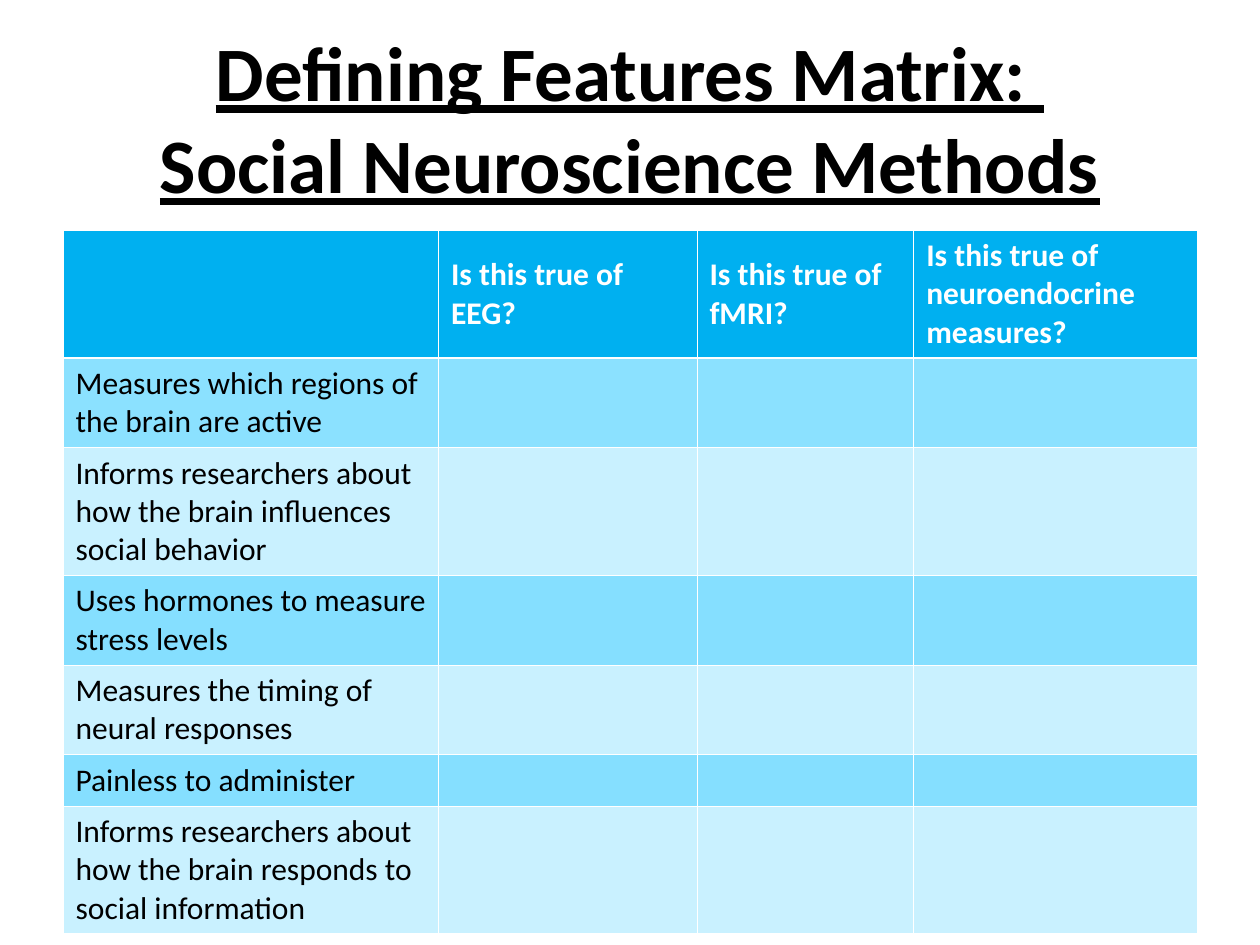
from lxml.etree import SubElement
from pptx import Presentation
from pptx.dml.color import RGBColor
from pptx.enum.text import MSO_ANCHOR as Anchor, MSO_AUTO_SIZE as AutoSize, PP_ALIGN as Align
from pptx.oxml.ns import qn
from pptx.util import Cm, Pt

BLACK = RGBColor(0x00, 0x00, 0x00)
WHITE = RGBColor(0xFF, 0xFF, 0xFF)
HEADER_BLUE = RGBColor(0x00, 0xB0, 0xF0)
FIRST_BLUE = RGBColor(0x8B, 0xE1, 0xFF)
BAND_BLUE = RGBColor(0x85, 0xDF, 0xFF)
PALE_BLUE = RGBColor(0xC9, 0xF1, 0xFF)

THIN, THICK = Pt(0.45), Pt(1.47)

TITLE = "Defining Features Matrix: \vSocial Neuroscience Methods"
HEADERS = [
    "",
    "Is this true of EEG?",
    "Is this true of fMRI?",
    "Is this true of neuroendocrine measures?",
]
FEATURES = [
    "Measures which regions of the brain are active",
    "Informs researchers about how the brain influences social behavior",
    "Uses hormones to measure stress levels",
    "Measures the timing of neural responses",
    "Painless to administer",
    "Informs researchers about how the brain responds to social information",
]
COLUMN_WIDTHS = [7.57, 5.21, 4.37, 5.71]
ONE_LINE, TWO_LINES, THREE_LINES = 1.02, 1.78, 2.54
ROW_HEIGHTS = [THREE_LINES, TWO_LINES, THREE_LINES, TWO_LINES, TWO_LINES, ONE_LINE, THREE_LINES]
ROW_FILLS = [HEADER_BLUE, FIRST_BLUE, PALE_BLUE, BAND_BLUE, PALE_BLUE, BAND_BLUE, PALE_BLUE]


def write(frame, text, size=18, color=BLACK, bold=False, underline=False, align=Align.LEFT):
    frame.word_wrap = True
    frame.text = text
    for para in frame.paragraphs:
        para.alignment = align
        para.font.size = Pt(size)
        for span in para.runs:
            font = span.font
            font.name = "Calibri"
            font.size = Pt(size)
            font.bold = bold
            font.underline = underline
            font.color.rgb = color


def add_borders(cell, top=THIN, bottom=THIN):
    """Draw white borders; must run before the cell is filled."""
    properties = cell._tc.get_or_add_tcPr()
    for side, width in (("L", THIN), ("R", THIN), ("T", top), ("B", bottom)):
        line = SubElement(properties, qn(f"a:ln{side}"), w=str(int(width)))
        fill = SubElement(line, qn("a:solidFill"))
        SubElement(fill, qn("a:srgbClr"), val=str(WHITE))


class MatrixPage:
    def __init__(self, deck):
        self.page = deck.slides.add_slide(deck.slide_layouts[5])

    def title(self, text, left, top, width, height):
        box = self.page.shapes.title
        box.left, box.top, box.width, box.height = Cm(left), Cm(top), Cm(width), Cm(height)
        frame = box.text_frame
        frame.auto_size = AutoSize.NONE
        frame.vertical_anchor = Anchor.MIDDLE
        write(frame, text, size=44, bold=True, underline=True, align=Align.CENTER)

    def table(self, rows, left, top):
        grid = self.page.shapes.add_table(
            len(rows), len(COLUMN_WIDTHS), Cm(left), Cm(top),
            Cm(sum(COLUMN_WIDTHS)), Cm(sum(ROW_HEIGHTS)),
        ).table
        for column, width in zip(grid.columns, COLUMN_WIDTHS):
            column.width = Cm(width)
        for index, (row, height) in enumerate(zip(grid.rows, ROW_HEIGHTS)):
            row.height = Cm(height)
            for cell, text in zip(row.cells, rows[index]):
                self.cell(cell, text, index)

    def cell(self, cell, text, row_index):
        is_header = row_index == 0
        add_borders(
            cell,
            top=THICK if row_index == 1 else THIN,
            bottom=THICK if is_header else THIN,
        )
        cell.fill.solid()
        cell.fill.fore_color.rgb = ROW_FILLS[row_index]
        cell.vertical_anchor = Anchor.MIDDLE if is_header else Anchor.TOP
        write(cell.text_frame, text, color=WHITE if is_header else BLACK, bold=is_header)


def main():
    deck = Presentation()
    deck.slide_width, deck.slide_height = Cm(25.4), Cm(19.05)
    page = MatrixPage(deck)
    page.title(TITLE, 1.27, 0.76, 22.86, 3.18)
    blanks = [""] * (len(HEADERS) - 1)
    page.table([HEADERS] + [[feature] + blanks for feature in FEATURES], 1.27, 4.64)
    deck.save("out.pptx")


if __name__ == "__main__":
    main()
